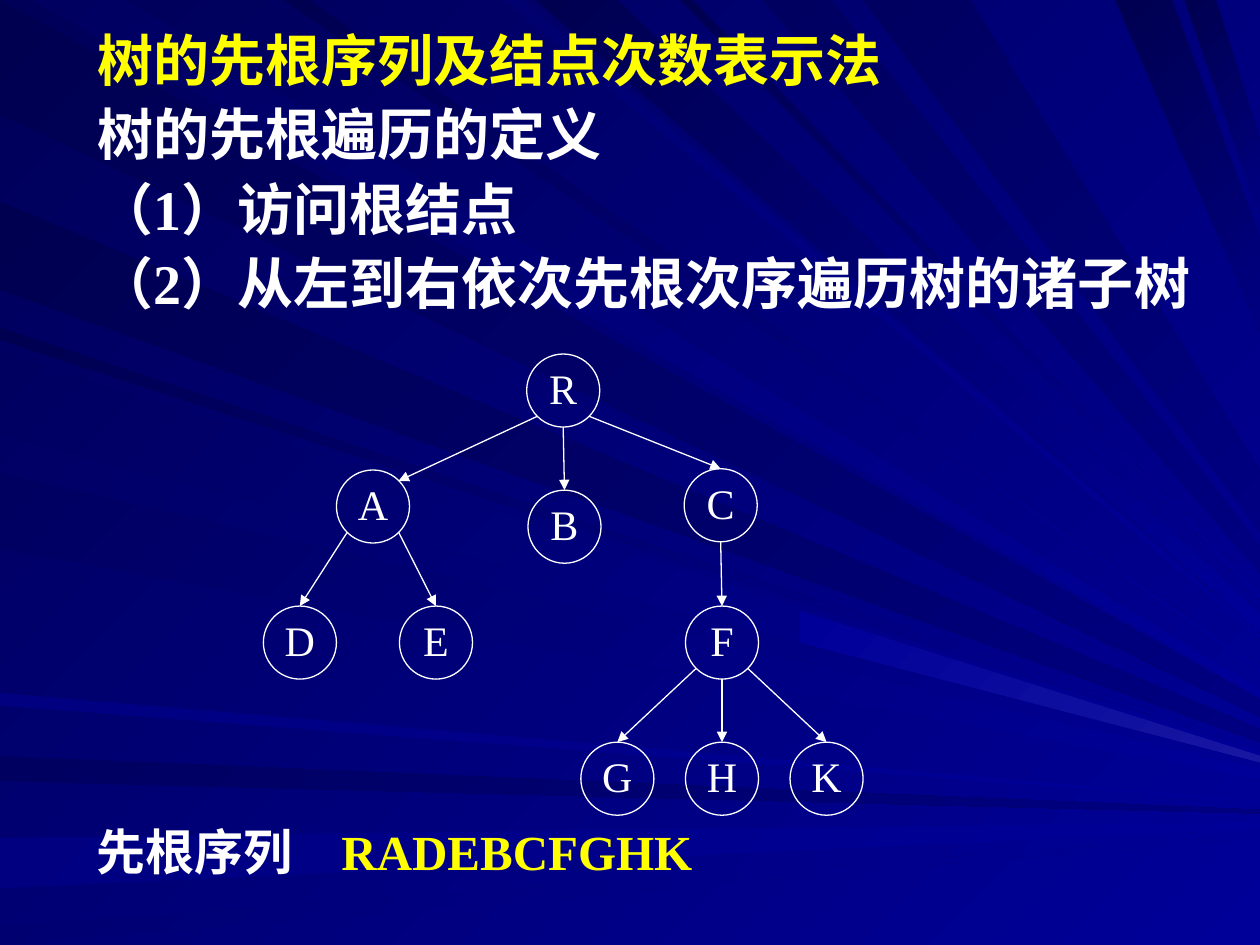
from lxml import etree
from pptx import Presentation
from pptx.dml.color import RGBColor
from pptx.enum.shapes import MSO_CONNECTOR, MSO_SHAPE
from pptx.enum.text import MSO_ANCHOR, MSO_AUTO_SIZE, PP_ALIGN
from pptx.oxml.ns import qn
from pptx.util import Inches, Pt

OVAL, STRAIGHT = MSO_SHAPE.OVAL, MSO_CONNECTOR.STRAIGHT
TOP, MIDDLE = MSO_ANCHOR.TOP, MSO_ANCHOR.MIDDLE
NO_AUTOFIT, CENTER = MSO_AUTO_SIZE.NONE, PP_ALIGN.CENTER

WHITE, YELLOW = "FFFFFF", "FFFF00"
DARK, DEEP, MID, SOFT, BRIGHT, GLOW = "000050", "000060", "00006F", "000080", "000099", "1717A2"
SANS, SERIF, LABEL_FONT = "Arial", "Times New Roman", "Karla"

SLIDE_WIDTH, SLIDE_HEIGHT = 10, 7.5
# Every ray runs from an edge of the slide towards this point beyond its right side
VANISHING_POINT = (11.7, 6.5)
# Where each ray starts and ends on its edge, and its colours
LEFT_RAYS = [
    (0, 0.9, DARK, SOFT), (6, 6.2, DEEP, SOFT), (6.65, 7.05, SOFT, BRIGHT),
    (7.35, 7.5, MID, BRIGHT), (2.6, 2.7, DARK, BRIGHT), (1.6, 2.3, DARK, SOFT),
    (2.8, 3.45, DEEP, BRIGHT), (3.75, 4.35, DEEP, BRIGHT), (5.5, 5.6, SOFT, BRIGHT),
]
TOP_RAYS = [
    (0.25, 1, DEEP, BRIGHT), (4, 4.15, MID, BRIGHT), (4.25, 4.9, DARK, BRIGHT),
    (5.4, 5.5, DARK, BRIGHT), (6.05, 6.6, DEEP, SOFT), (8.85, 9.3, DARK, SOFT),
    (9.4, 9.65, DARK, SOFT), (2.25, 2.45, DARK, BRIGHT), (6.85, 7.7, DEEP, SOFT),
]
GLOW_CORNERS = [(6.35, 4.85), (10, 6), (10, 6.05), (6.35, 5.1)]

DEFINITION = [
    [("树的先根序列及结点次数表示法", SANS, YELLOW)],
    [("树的先根遍历的定义", SANS, WHITE)],
    [("（1）访问根结点", SERIF, WHITE)],
    [("（2）从左到右依次先根次序遍历树的诸子", SERIF, WHITE), ("树", SANS, WHITE)],
]
SEQUENCE = [("先根序列　", LABEL_FONT, WHITE), ("RADEBCFGHK", SERIF, YELLOW)]

# Node positions relative to the tree's box
NODE_SIZE = 0.58
NODES = {
    "R": (2.09, 0), "A": (0.58, 0.92), "B": (2.1, 1.08), "C": (3.34, 0.91),
    "D": (0, 2), "E": (1.08, 2), "F": (3.35, 2),
    "G": (2.52, 3.08), "H": (3.35, 3.08), "K": (4.18, 3.08),
}
CHILDREN = {"R": "ABC", "A": "DE", "C": "F", "F": "GHK"}
# Fractions of a node's size
NEAR, HALF, FAR = 0.15, 0.5, 0.85


def color(value):
    return RGBColor.from_string(value)


def fill_gradient(fill, start, end):
    """Blend two colours from top left to bottom right."""
    fill.gradient()
    fill.gradient_angle = 315
    for stop, value in zip(fill.gradient_stops, (start, end)):
        stop.color.rgb = color(value)


def add_runs(paragraph, runs, size):
    for text, font_name, text_color in runs:
        run = paragraph.add_run()
        run.text = text
        run.font.name, run.font.size, run.font.bold = font_name, Pt(size), True
        run.font.color.rgb = color(text_color)


def draw_ray(slide, corners, start_color, end_color):
    first, *rest = [(Inches(x), Inches(y)) for x, y in corners]
    outline = slide.shapes.build_freeform(*first)
    outline.add_line_segments(rest, close=True)
    ray = outline.convert_to_shape()
    ray.shadow.inherit = False
    ray.line.fill.background()
    fill_gradient(ray.fill, start_color, end_color)


def right_edge_point(x, y):
    """Where the line from (x, y) to the vanishing point leaves the slide."""
    far_x, far_y = VANISHING_POINT
    return SLIDE_WIDTH, y + (far_y - y) * (SLIDE_WIDTH - x) / (far_x - x)


def draw_background(slide):
    fill_gradient(slide.background.fill, "000058", BRIGHT)
    rays = [((0, a), (0, b), *colors) for a, b, *colors in LEFT_RAYS]
    rays += [((a, 0), (b, 0), *colors) for a, b, *colors in TOP_RAYS]
    for start, end, *colors in rays:
        corners = [start, end, right_edge_point(*end), right_edge_point(*start)]
        draw_ray(slide, corners, *colors)
    draw_ray(slide, GLOW_CORNERS, BRIGHT, GLOW)


def place_definition(body, left, top, width, height):
    body.left, body.top, body.width, body.height = map(Inches, (left, top, width, height))
    frame = body.text_frame
    frame.auto_size, frame.vertical_anchor = NO_AUTOFIT, TOP
    for i, runs in enumerate(DEFINITION):
        paragraph = frame.add_paragraph() if i else frame.paragraphs[0]
        properties = paragraph._p.get_or_add_pPr()
        properties.set("marL", str(Inches(0.38)))
        properties.set("indent", str(-Inches(0.38)))
        etree.SubElement(properties, qn("a:buNone"))
        paragraph.line_spacing = 0.9
        paragraph.space_before = Pt(8 if i else 0)
        add_runs(paragraph, runs, 32)


def draw_edge(slide, left, top, parent, child):
    def rim_point(node, across, down):
        x, y = NODES[node]
        return Inches(left + x + NODE_SIZE * across), Inches(top + y + NODE_SIZE * down)

    run, drop = (b - a for a, b in zip(NODES[parent], NODES[child]))
    if abs(run) < 0.1:
        start = rim_point(parent, HALF, 1)
    else:
        start = rim_point(parent, FAR if run > 0 else NEAR, FAR)
    # A flat edge meets the child on its side, any other on its top
    flat = abs(run) > 1.5 * drop
    end = rim_point(child, FAR, NEAR) if flat else rim_point(child, HALF, 0)

    edge = slide.shapes.add_connector(STRAIGHT, *start, *end)
    edge.line.color.rgb, edge.line.width = color(WHITE), Pt(0.75)
    etree.SubElement(edge.line._get_or_add_ln(), qn("a:tailEnd"), type="triangle")
    etree.SubElement(edge._element.spPr, qn("a:effectLst"))


def draw_node(slide, name, left, top):
    node = slide.shapes.add_shape(OVAL, *map(Inches, (left, top, NODE_SIZE, NODE_SIZE)))
    node.shadow.inherit = False
    node.fill.background()
    node.line.color.rgb, node.line.width = color(WHITE), Pt(0.75)
    frame = node.text_frame
    frame.word_wrap, frame.vertical_anchor = False, MIDDLE
    frame.margin_left = frame.margin_right = frame.margin_top = 0
    frame.margin_bottom = Inches(0.04)
    frame.text = name
    frame.paragraphs[0].alignment = CENTER
    font = frame.paragraphs[0].runs[0].font
    font.name, font.size, font.color.rgb = SERIF, Pt(24), color(WHITE)


def draw_tree(slide, left, top):
    for parent, children in CHILDREN.items():
        for child in children:
            draw_edge(slide, left, top, parent, child)
    for name, (x, y) in NODES.items():
        draw_node(slide, name, left + x, top + y)


def add_sequence(slide, left, top, width, height):
    sequence = slide.shapes.add_textbox(*map(Inches, (left, top, width, height)))
    sequence.text_frame.word_wrap = True
    add_runs(sequence.text_frame.paragraphs[0], SEQUENCE, 28)


def main():
    deck = Presentation()
    deck.slide_width, deck.slide_height = Inches(SLIDE_WIDTH), Inches(SLIDE_HEIGHT)
    slide = deck.slides.add_slide(deck.slide_layouts[1])
    title, body = slide.placeholders
    title._element.getparent().remove(title._element)
    draw_background(slide)
    slide.shapes._spTree.append(body._element)  # bring the text in front of the rays
    place_definition(body, 0.67, 0.21, 9.1, 2.52)
    draw_tree(slide, 2.09, 2.81)
    add_sequence(slide, 0.67, 6.47, 8.58, 0.57)
    deck.save("out.pptx")


if __name__ == "__main__":
    main()
